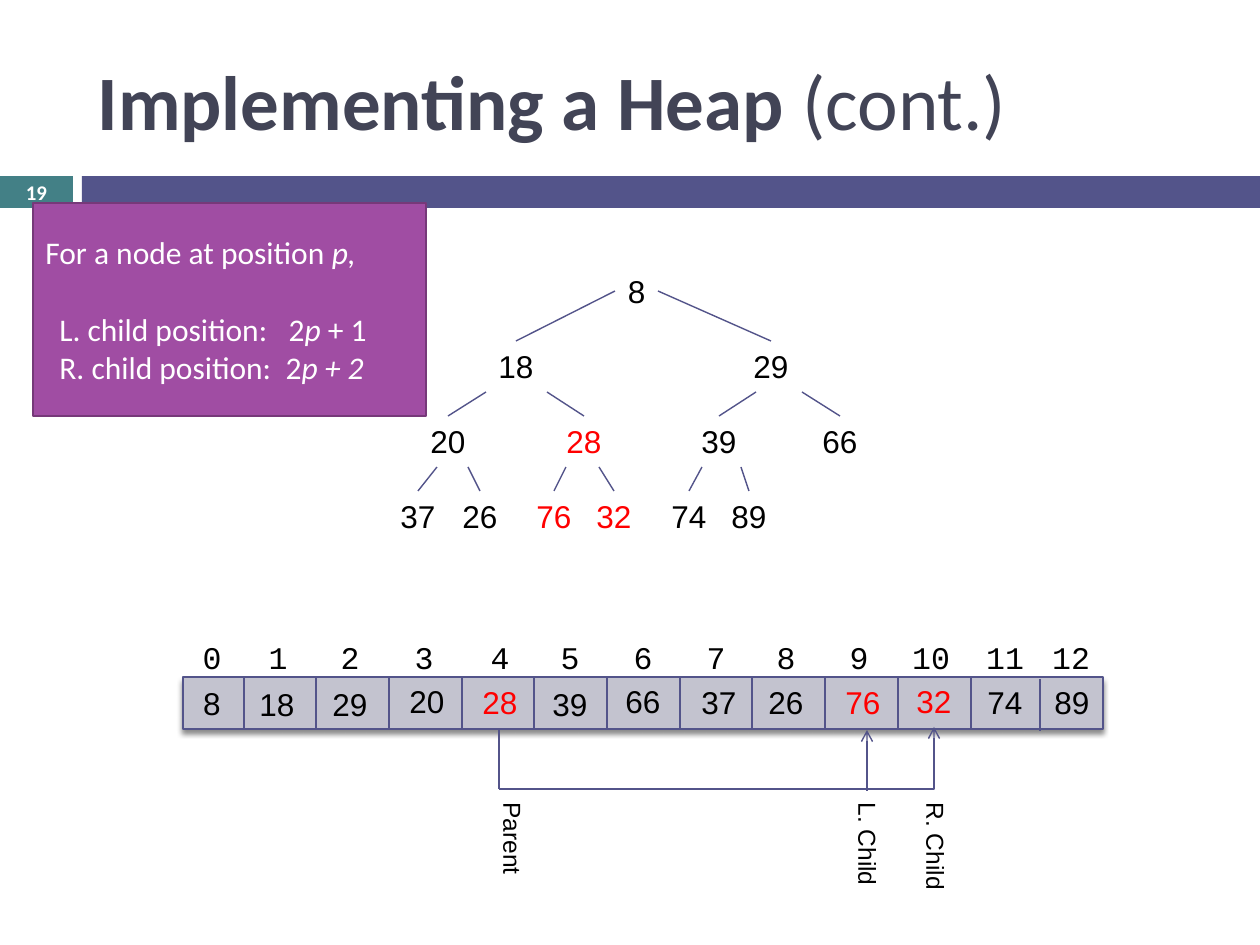
from collections import namedtuple

from lxml.etree import SubElement
from pptx import Presentation
from pptx.dml.color import RGBColor
from pptx.enum.shapes import MSO_CONNECTOR as Link, MSO_SHAPE as Shape
from pptx.enum.text import MSO_ANCHOR as Anchor, PP_ALIGN as Align
from pptx.oxml.ns import qn
from pptx.util import Emu, Pt

PX = 914400 / 126
WHITE = RGBColor(0xFF, 0xFF, 0xFF)
BLACK = RGBColor(0x00, 0x00, 0x00)
RED = RGBColor(0xFF, 0x00, 0x00)
SLATE = RGBColor(0x42, 0x44, 0x56)
INDIGO = RGBColor(0x53, 0x54, 0x8A)
TEAL = RGBColor(0x43, 0x80, 0x86)
GREY = RGBColor(0xC3, 0xC3, 0xCF)
PURPLE = RGBColor(0xA0, 0x4D, 0xA3)
DARK_PURPLE = RGBColor(0x76, 0x39, 0x79)

HEAP = [8, 18, 29, 20, 28, 39, 66, 37, 26, 76, 32, 74, 89]
HIGHLIGHTED = {28, 76, 32}

Box = namedtuple("Box", "left top width height")


def px(length):
    return Emu(round(length * PX))


def emu(box):
    return [px(length) for length in box]


def heap_color(value):
    return RED if value in HIGHLIGHTED else BLACK


def write(para, text, size=18, font="Arial", color=BLACK, bold=False, italic=False,
          spacing=0):
    span = para.add_run()
    span.text = text
    span.font.size = Pt(size)
    span.font.name = font
    span.font.color.rgb = color
    span.font.bold = bold
    span.font.italic = italic
    if spacing:
        span._r.get_or_add_rPr().set("spc", str(spacing * 100))


def add_label(page, box, text, align=Align.CENTER, anchor=Anchor.TOP, vertical=False, **style):
    label = page.shapes.add_textbox(*emu(box))
    frame = label.text_frame
    frame.word_wrap = False
    frame.vertical_anchor = anchor
    if vertical:
        frame._txBody.bodyPr.set("vert", "vert")
    frame.paragraphs[0].alignment = align
    write(frame.paragraphs[0], text, **style)
    return label


def add_rect(page, box, fill, line=None, width=0.79):
    rect = page.shapes.add_shape(Shape.RECTANGLE, *emu(box))
    rect.shadow.inherit = False
    rect.fill.solid()
    rect.fill.fore_color.rgb = fill
    if line is None:
        rect.line.fill.background()
    else:
        rect.line.color.rgb = line
        rect.line.width = Pt(width)
    return rect


def add_line(page, x1, y1, x2, y2, kind=Link.STRAIGHT, arrow=False):
    line = page.shapes.add_connector(kind, *emu((x1, y1, x2, y2)))
    line.line.color.rgb = INDIGO
    line.line.width = Pt(0.79)
    if arrow:
        SubElement(line.line._get_or_add_ln(), qn("a:tailEnd"), type="arrow")
    SubElement(line._element.spPr, qn("a:effectLst"))
    return line


def drop_shadow(shape):
    effects = shape._element.spPr.find(qn("a:effectLst"))
    shadow = SubElement(effects, qn("a:outerShdw"), blurRad=str(Pt(3)),
                        dist=str(Pt(2.4)), dir="5400000", rotWithShape="0")
    color = SubElement(shadow, qn("a:srgbClr"), val=str(BLACK))
    SubElement(color, qn("a:alpha"), val="45000")


def add_header(page, box):
    title = page.shapes.title
    title.left, title.top, title.width, title.height = emu(box)
    title.text_frame.vertical_anchor = Anchor.MIDDLE
    para = title.text_frame.paragraphs[0]
    para.alignment = Align.LEFT
    style = dict(size=44, font="Calibri", color=SLATE)
    write(para, "Implementing a Heap ", bold=True, **style)
    write(para, "(cont.)", **style)


def add_band(page, box):
    add_rect(page, box._replace(width=73), TEAL)
    add_rect(page, box._replace(left=box.left + 82, width=box.width - 82), INDIGO)


def add_array(page, box):
    """Draw the heap's storage: indices above a bar of cells."""
    index_centers = [29, 95, 167, 241, 317, 387, 460, 533, 603, 676, 748, 822, 888]
    value_centers = [29, 94, 167, 244, 317, 387, 460, 536, 603, 680, 751, 822, 889]
    value_shifts = [1, 2, 2, -1, 0, 2, -1, 0, 0, 0, -1, 0, 0]
    bar_top, bar_height = box.top + 46, box.height - 46
    bar = add_rect(page, box._replace(top=bar_top, height=bar_height), GREY, INDIGO)
    drop_shadow(bar)
    dividers = [(61 + 727 * step // 10, 0) for step in range(11)] + [(857, 2)]
    for offset, drop in dividers:
        x, y = box.left + offset, bar_top + drop
        add_line(page, x, y, x, y + bar_height)
    cells = zip(HEAP, index_centers, value_centers, value_shifts)
    for index, (value, index_x, value_x, shift) in enumerate(cells):
        add_label(page, Box(box.left + index_x - 36, box.top + 1, 72, 50),
                  str(index), font="Courier New")
        add_label(page, Box(box.left + value_x - 30, bar_top + shift, 60, 50),
                  str(value), color=heap_color(value))


def add_tree(page, box):
    """Draw the heap as a binary tree; node i hangs from node (i - 1) // 2."""
    centers = [248, 128, 383, 60, 196, 331, 452, 30, 92, 166, 226, 301, 361]
    branch_starts = {1: (-30, 31), 2: (-15, 31), 3: (-11, 20),
                     4: (-18, 15), 5: (-17, 22)}
    nodes = []
    for index, (value, center) in enumerate(zip(HEAP, centers)):
        level = (index + 1).bit_length() - 1
        width = 60 if index else 43
        x, y = box.left + center, box.top + 75 * level
        node = add_label(page, Box(x - width // 2, y, width, 50),
                         str(value), color=heap_color(value))
        nodes.append(node)
        if index == 0:
            continue
        parent, side = (index - 1) // 2, (index - 1) % 2
        start_x = box.left + centers[parent] + branch_starts.get(parent, (0, 0))[side]
        branch = add_line(page, start_x, y - 24, x, y)
        if parent == 0:
            branch.begin_connect(nodes[0], (1, 3)[side])
        branch.end_connect(node, 0)


def add_pointers(page, box):
    """Link the parent cell to its two children and name all three."""
    right, bend = box.left + box.width, box.top + 62
    left_child = box.left + 368
    elbow = add_line(page, box.left, bend, right, box.top, Link.ELBOW, arrow=True)
    elbow._element.spPr.find(qn("a:prstGeom")).set("prst", "bentConnector2")
    add_line(page, left_child, bend + 2, left_child, box.top + 3, arrow=True)
    add_line(page, box.left, box.top + 3, box.left, bend)
    for text, offset, height in (("Parent", -20, 86), ("L. Child", 335, 97),
                                 ("R. Child", 403, 101)):
        add_label(page, Box(box.left + offset, box.top + 63, 55, height), text,
                  align=Align.LEFT, vertical=True, size=14)


def add_rule(page, box):
    """Draw the panel with the formulas for child positions."""
    frame = add_rect(page, box, PURPLE, DARK_PURPLE, 1.5).text_frame
    frame.word_wrap = True
    frame.vertical_anchor = Anchor.MIDDLE
    style = dict(font="Calibri", color=WHITE)
    intro = frame.paragraphs[0]
    intro.alignment = Align.LEFT
    write(intro, "For a node at position ", **style)
    write(intro, "p,", italic=True, **style)
    formulas = [("L", 8, " + 1", False, 22), ("R", 4, " + 2", True, 0)]
    for side, gap, addend, italic, before in formulas:
        para = frame.add_paragraph()
        para.alignment = Align.LEFT
        para.space_before = Pt(before)
        props = para._p.get_or_add_pPr()
        props.set("marL", str(px(14)))
        props.set("indent", "0")
        write(para, f"{side}. child position:", **style)
        write(para, " ", spacing=gap, **style)
        write(para, "2", **style)
        write(para, "p", italic=True, **style)
        write(para, addend, italic=italic, **style)


def main():
    deck = Presentation()
    deck.slide_width, deck.slide_height = px(1260), px(945)
    page = deck.slides.add_slide(deck.slide_layouts[5])
    add_header(page, Box(85, 32, 1124, 136))
    add_band(page, Box(0, 176, 1260, 32))
    add_array(page, Box(183, 631, 920, 98))
    add_tree(page, Box(388, 266, 482, 275))
    add_pointers(page, Box(499, 727, 435, 164))
    add_rule(page, Box(33, 203, 393, 213))
    add_label(page, Box(0, 175, 73, 34), "19", anchor=Anchor.MIDDLE,
              size=11.9, font="Calibri", color=WHITE, bold=True)
    deck.save("out.pptx")


if __name__ == "__main__":
    main()
